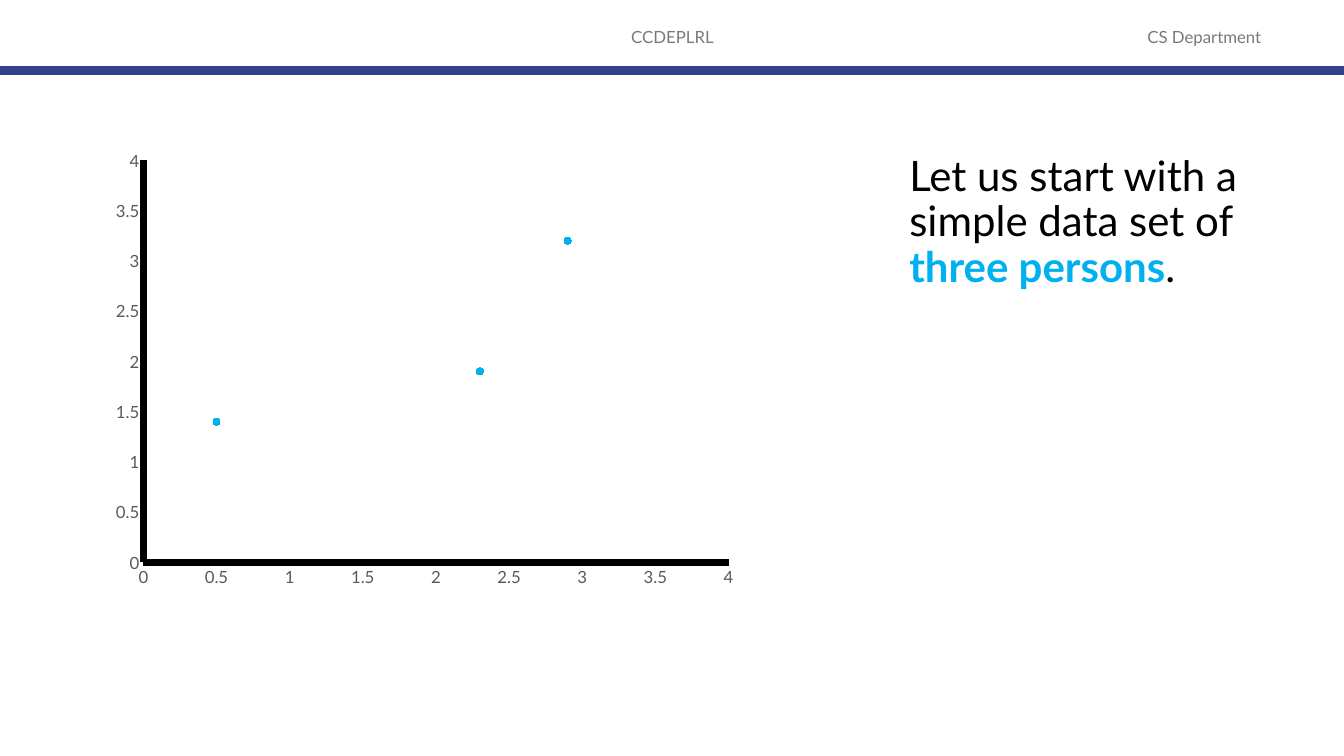
from lxml.etree import SubElement
from pptx import Presentation
from pptx.chart.data import XyChartData
from pptx.dml.color import RGBColor
from pptx.enum.chart import XL_CHART_TYPE as ChartType, XL_MARKER_STYLE as Marker
from pptx.enum.chart import XL_TICK_MARK as TickMark
from pptx.enum.shapes import MSO_CONNECTOR as Connector
from pptx.enum.text import MSO_ANCHOR as Anchor, PP_ALIGN as Align
from pptx.oxml.ns import qn
from pptx.util import Inches, Pt

FONT = "Lato"
BLACK = RGBColor(0x00, 0x00, 0x00)
HEADER_GREY = RGBColor(0x79, 0x79, 0x79)
LABEL_GREY = RGBColor(0x59, 0x59, 0x59)
RULE_BLUE = RGBColor(0x32, 0x41, 0x8C)
ACCENT_BLUE = RGBColor(0x00, 0xB0, 0xF0)

PERSONS = [(0.5, 1.4), (2.3, 1.9), (2.9, 3.2)]
PLOT_AREA = {"x": 0.043, "y": 0.023, "w": 0.945, "h": 0.9}


def set_font(font, size, color, bold=False):
    for key, value in {"name": FONT, "size": Pt(size), "bold": bold}.items():
        setattr(font, key, value)
    font.color.rgb = color


def add_text(slide, box, runs, size, paragraph_format, anchor=Anchor.TOP):
    frame = slide.shapes.add_textbox(*map(Inches, box)).text_frame
    frame.word_wrap = True
    frame.vertical_anchor = anchor
    paragraph = frame.paragraphs[0]
    for key, value in paragraph_format.items():
        setattr(paragraph, key, value)
    for text, color, bold in runs:
        run = paragraph.add_run()
        run.text = text
        set_font(run.font, size, color, bold)


def add_header(slide, left, top, width, height):
    # Course and department labels
    labels = [("CCDEPLRL", 4.42, 4.5), ("CS Department", 10.92, 2.05)]
    for label, offset, label_width in labels:
        add_text(slide, (left + offset, top + 0.17, label_width, 0.4),
                 [(label, HEADER_GREY, False)], 12,
                 {"alignment": Align.CENTER}, Anchor.MIDDLE)

    # Rule along the bottom edge
    bottom = Inches(top + height)
    rule = slide.shapes.add_connector(
        Connector.STRAIGHT, Inches(left), bottom, Inches(left + width), bottom)
    rule.line.color.rgb = RULE_BLUE
    rule.line.width = Pt(6)
    SubElement(rule.element.spPr, qn("a:effectLst"))


def add_statement(slide, *box):
    runs = [("Let us start with a simple data set of ", BLACK, False),
            ("three persons", ACCENT_BLUE, True),
            (".", BLACK, False)]
    add_text(slide, box, runs, 30, {"line_spacing": 0.9, "space_before": Pt(10)})


def format_axis(axis):
    settings = {"minimum_scale": 0, "maximum_scale": 4, "major_unit": 0.5,
                "has_major_gridlines": False, "has_title": False,
                "major_tick_mark": TickMark.NONE, "minor_tick_mark": TickMark.NONE}
    for key, value in settings.items():
        setattr(axis, key, value)
    set_font(axis.tick_labels.font, 12, LABEL_GREY)
    axis.tick_labels.number_format = "General"
    axis.tick_labels.number_format_is_linked = False
    axis.format.line.color.rgb = BLACK
    axis.format.line.width = Pt(5)


def set_plot_area(chart):
    plot_area = chart.element.chart.plotArea
    for old_layout in plot_area.findall(qn("c:layout")):
        plot_area.remove(old_layout)
    layout = SubElement(plot_area, qn("c:layout"))
    plot_area.insert(0, layout)
    manual = SubElement(layout, qn("c:manualLayout"))
    modes = {"layoutTarget": "inner", "xMode": "edge", "yMode": "edge"}
    for tag, value in {**modes, **PLOT_AREA}.items():
        SubElement(manual, qn(f"c:{tag}")).set("val", str(value))


def add_person_chart(slide, *box):
    data = XyChartData()
    persons = data.add_series("Series 1")
    for x, y in PERSONS:
        persons.add_data_point(x, y)
    chart = slide.shapes.add_chart(
        ChartType.XY_SCATTER, *map(Inches, box), data).chart
    chart.has_legend = False
    chart.has_title = False
    set_font(chart.font, 10, BLACK)
    set_plot_area(chart)
    for axis in (chart.category_axis, chart.value_axis):
        format_axis(axis)

    # Unconnected dots, one per person
    plot = chart.plots[0]
    plot.vary_by_categories = False
    dots = plot.series[0]
    dots.smooth = False
    dots.format.line.fill.background()
    dots.marker.style = Marker.CIRCLE
    dots.marker.size = 5
    for fill in (dots.marker.format.fill, dots.marker.format.line.fill):
        fill.solid()
        fill.fore_color.rgb = ACCENT_BLUE


def main():
    deck = Presentation()
    deck.slide_width = Inches(13.33)
    deck.slide_height = Inches(7.5)
    slide = deck.slides.add_slide(deck.slide_layouts[6])
    add_header(slide, 0, 0, 13.33, 0.7)
    add_statement(slide, 8.92, 1.49, 3.48, 1.64)
    add_person_chart(slide, 1.15, 1.49, 6.15, 4.43)
    deck.save("out.pptx")


if __name__ == "__main__":
    main()
